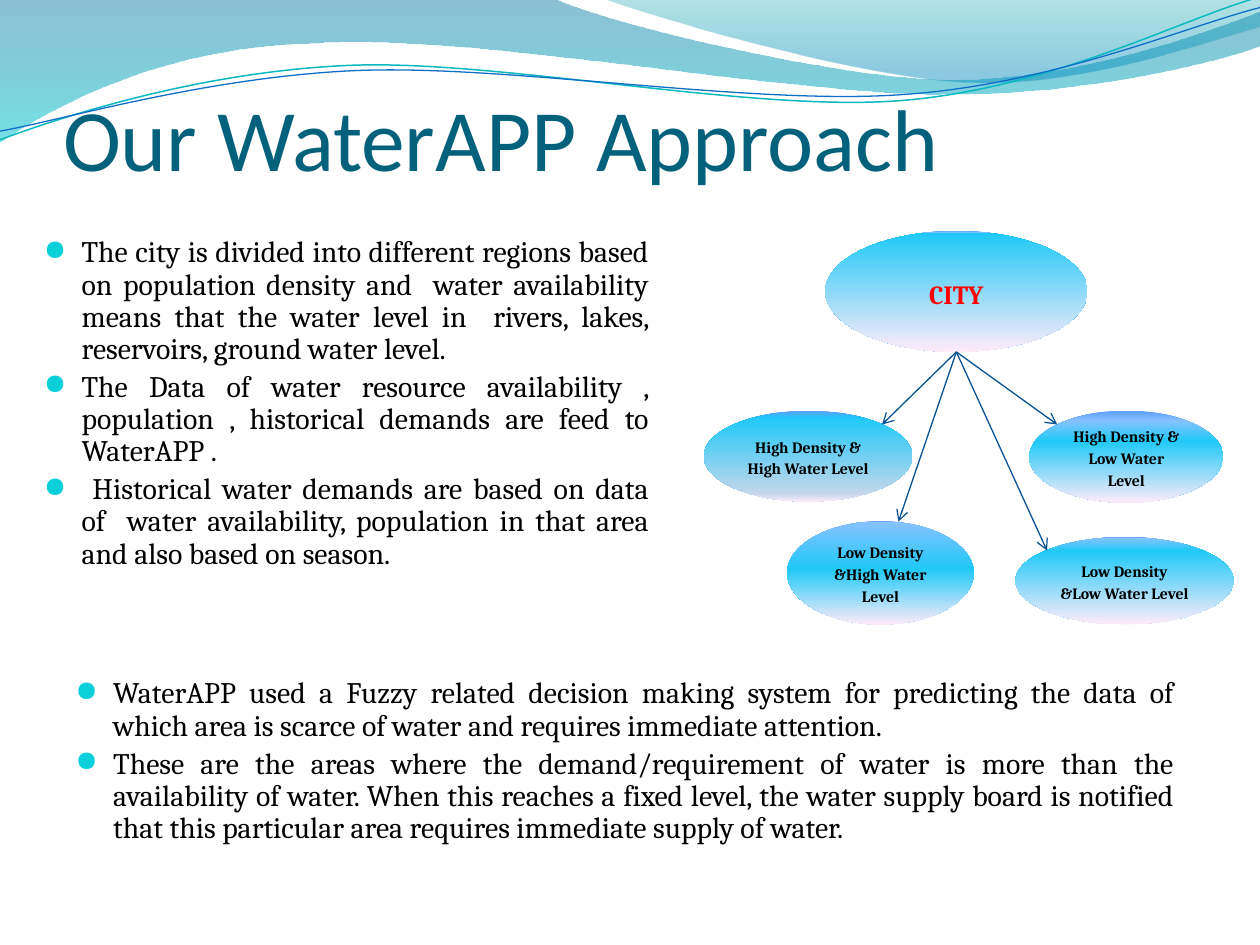
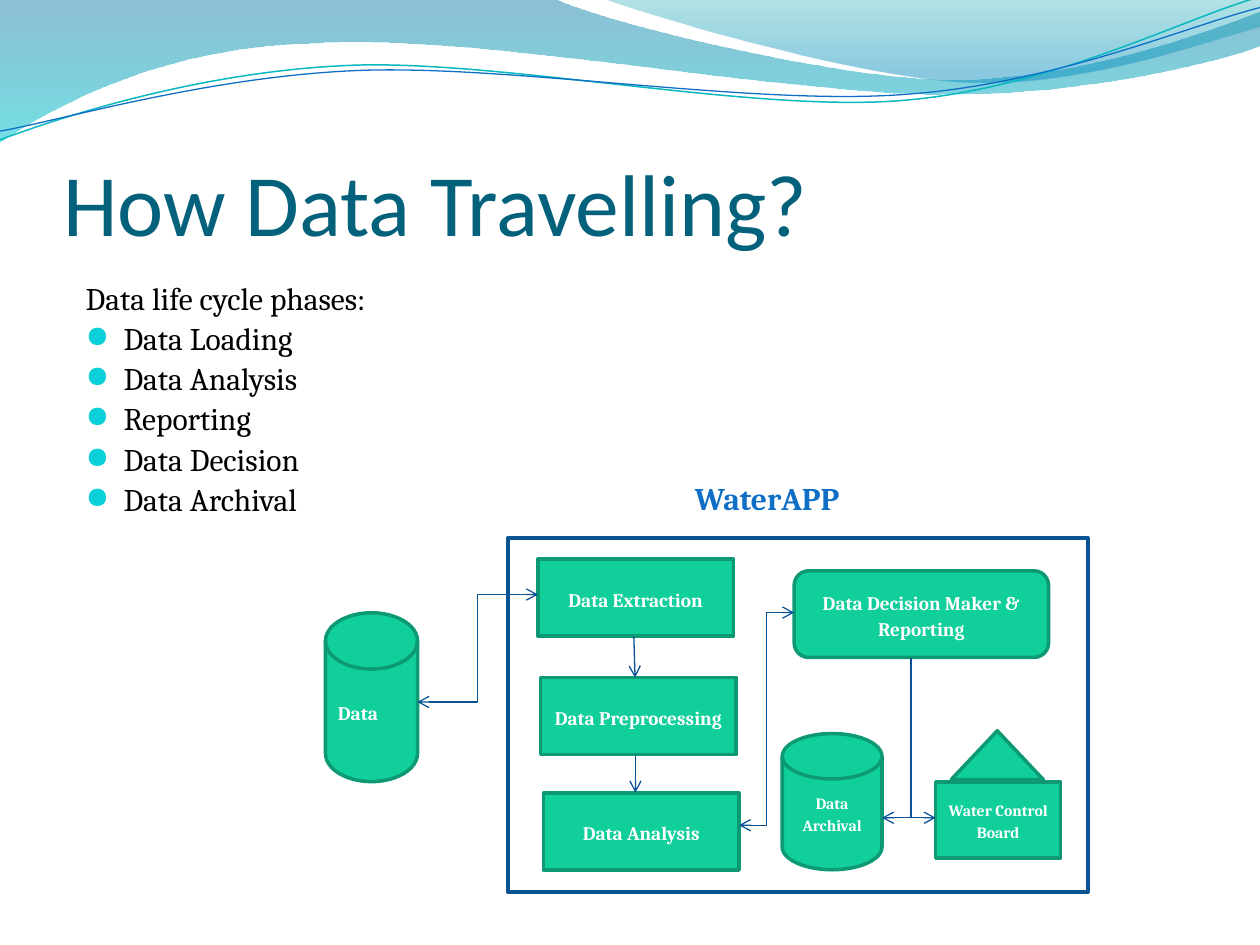
from dataclasses import dataclass
from typing import Any, NamedTuple, Optional

from lxml import etree
from pptx import Presentation
from pptx.dml.color import RGBColor
from pptx.enum.shapes import MSO_CONNECTOR, MSO_SHAPE
from pptx.enum.text import MSO_ANCHOR, MSO_AUTO_SIZE, PP_ALIGN
from pptx.oxml.ns import qn
from pptx.util import Pt

OVAL, RECT, ROUND = MSO_SHAPE.OVAL, MSO_SHAPE.RECTANGLE, MSO_SHAPE.ROUNDED_RECTANGLE
DISK, ROOF = MSO_SHAPE.FLOWCHART_MAGNETIC_DISK, MSO_SHAPE.ISOSCELES_TRIANGLE
STRAIGHT, ELBOW = MSO_CONNECTOR.STRAIGHT, MSO_CONNECTOR.ELBOW
MIDDLE, BOTTOM = MSO_ANCHOR.MIDDLE, MSO_ANCHOR.BOTTOM
LEFT, CENTER, JUSTIFY = PP_ALIGN.LEFT, PP_ALIGN.CENTER, PP_ALIGN.JUSTIFY
NO_FIT = MSO_AUTO_SIZE.NONE

COLORS = {
    "title": "04617B", "text": "000000", "white": "FFFFFF", "red": "FF0000",
    "bullet": "0BD0D9", "arrow": "095295", "frame": "0B5292", "label": "0F6FC6",
    "green": "10CF9B", "edge": "0C9973", "teal": "0AB8BF",
    "sea": "0074A1", "aqua": "00C6CF", "lagoon": "00A1A9", "lake": "008BBF",
    "blue": "5E9EFF", "sky": "85C2FF", "cyan": "20C9F8", "mist": "C4D6EB", "pink": "FFEBFA",
}
HEAD, BODY, SIGN = "Calibri", "Cambria", "OpenSymbol"
BLOCK = {"line_spacing": 1.15, "space_after": Pt(10)}


class Box(NamedTuple):
    """Left, top, width and height in points."""
    x: float
    y: float
    w: float
    h: float

    def emu(self) -> list[int]:
        """Return the four lengths as Pt."""
        return [Pt(v) for v in self]


class Stop(NamedTuple):
    """One gradient stop: position, colour name and opacity in percent."""
    pos: int
    color: str
    alpha: int = 100


@dataclass
class Wave:
    """A curved band or line: start point, then line or Bezier steps."""
    start: tuple
    steps: list
    stops: tuple = ()
    color: str = ""
    width: float = 0


@dataclass
class Node:
    """A filled shape with its caption."""
    kind: Any
    box: Box
    text: str = ""
    size: float = 9
    color: str = "white"
    align: Any = CENTER
    fill: Optional[str] = "green"
    edge: Optional[str] = "edge"
    stops: tuple = ()


@dataclass
class Link:
    """A connector between two points."""
    start: tuple
    end: tuple
    kind: Any = STRAIGHT
    head: bool = False
    tail: bool = True


WAVES = [
    Wave((0, 0), [
        (316.8, -0.7), (342.7, 12.2, 478.1, 45.4, 545.8, 45.4),
        (614.2, 45.4, 689.8, 18.7, 720, 6.5), (720.7, 25.9),
        (707.8, 31.7, 626.4, 54.7, 537.1, 54), (447.8, 54, 275, 20.2, 185, 24.5),
        (92.9, 25.9, 33.1, 59.8, -0.7, 81.4), (0, 0)],
        (Stop(0, "sea", 45), Stop(100, "aqua", 55))),
    Wave((344.9, -0.7), [
        (366.5, 7.9, 491, 44.6, 553.7, 46.8),
        (616.3, 49.7, 691.9, 23, 720, 15.1), (720, 0), (344.9, -0.7)],
        (Stop(0, "lagoon", 30), Stop(80, "lake", 45))),
    Wave((0, 79.9), [
        (34.6, 67, 113.8, 41, 199.4, 37.4), (284.4, 33.8, 427, 64.1, 513.4, 57.6),
        (599.8, 51.1, 675.4, 10.8, 718.6, -1.4)], color="teal", width=0.85),
    Wave((0, 74.9), [
        (33.8, 69.1, 118.1, 43.9, 203.8, 40.3), (290.2, 36.7, 429.8, 60.5, 516.2, 54),
        (601.9, 48.2, 677.5, 15.1, 720, 4.3)], color="label", width=0.75),
]


def rgb(name: str) -> RGBColor:
    """Return a named colour."""
    return RGBColor.from_string(COLORS[name])


def style(item: Any, values: dict) -> None:
    """Set each named attribute on the item."""
    for name, value in values.items():
        setattr(item, name, value)


def write(para: Any, text: str, size: float, color: str, font: str = BODY,
          bold: bool = False, **form: Any) -> None:
    """Fill one paragraph with a formatted run."""
    style(para, form)
    run = para.add_run()
    run.text = text
    style(run.font, {"size": Pt(size), "name": font, "bold": bold})
    run.font.color.rgb = rgb(color)


def grade(shape: Any, stops: tuple) -> None:
    """Give a shape a downward gradient."""
    shape.fill.gradient()
    shape.fill.gradient_angle = 270
    group = shape.element.spPr.find(qn("a:gradFill")).find(qn("a:gsLst"))
    for old in list(group):
        group.remove(old)
    for stop in stops:
        mark = etree.SubElement(group, qn("a:gs"), pos=str(stop.pos * 1000))
        tint = etree.SubElement(mark, qn("a:srgbClr"), val=COLORS[stop.color])
        if stop.alpha < 100:
            etree.SubElement(tint, qn("a:alpha"), val=str(stop.alpha * 1000))


def paint(shape: Any, fill: Optional[str], edge: Optional[str],
          width: float, stops: tuple = ()) -> None:
    """Set the fill and outline of a shape, without shadow."""
    shape.shadow.inherit = False
    if stops:
        grade(shape, stops)
    elif fill:
        shape.fill.solid()
        shape.fill.fore_color.rgb = rgb(fill)
    else:
        shape.fill.background()
    if edge:
        shape.line.color.rgb = rgb(edge)
        shape.line.width = Pt(width)
    else:
        shape.line.fill.background()


def bend(shape: Any, steps: list) -> None:
    """Join each three line points of a six-number step into a Bezier curve."""
    lines = iter(list(shape.element.iter(qn("a:lnTo"))))
    for step in steps:
        line = next(lines)
        if len(step) == 6:
            line.tag = qn("a:cubicBezTo")
            for extra in (next(lines), next(lines)):
                line.append(extra[0])
                extra.getparent().remove(extra)


def add_waves(slide: Any, layout: Any) -> None:
    """Draw the waves and move them to the layout, behind its placeholders."""
    tree = layout.placeholders[0].element.getparent()
    for spot, wave in enumerate(WAVES, 2):
        knots = [(Pt(step[i]), Pt(step[i + 1]))
                 for step in wave.steps for i in range(0, len(step), 2)]
        pen = slide.shapes.build_freeform(*(Pt(v) for v in wave.start))
        pen.add_line_segments(knots, close=bool(wave.stops))
        shape = pen.convert_to_shape()
        bend(shape, wave.steps)
        paint(shape, None, wave.color, wave.width, wave.stops)
        tree.insert(spot, shape.element)


def add_title(slide: Any, text: str, box: Box) -> None:
    """Place and format the title."""
    title = slide.shapes.title
    style(title, dict(zip(("left", "top", "width", "height"), box.emu())))
    frame = title.text_frame
    style(frame, {"margin_left": 0, "margin_top": Pt(3.6), "margin_right": 0,
                  "margin_bottom": 0, "vertical_anchor": BOTTOM,
                  "auto_size": NO_FIT, "word_wrap": True})
    write(frame.paragraphs[0], text, 50, "title", HEAD, alignment=LEFT)


def add_node(slide: Any, node: Node) -> None:
    """Draw a shape and its caption."""
    shape = slide.shapes.add_shape(node.kind, *node.box.emu())
    paint(shape, node.fill, node.edge, 2, node.stops)
    if node.text:
        frame = shape.text_frame
        style(frame, {"word_wrap": True, "vertical_anchor": MIDDLE})
        write(frame.paragraphs[0], node.text, node.size, node.color, bold=True,
              alignment=node.align, **BLOCK)


def add_link(slide: Any, link: Link) -> None:
    """Draw a connector with open arrowheads."""
    ends = [Pt(v) for v in link.start + link.end]
    line = slide.shapes.add_connector(link.kind, *ends)
    line.line.color.rgb = rgb("arrow")
    line.line.width = Pt(0.75)
    props = line.element.spPr
    for tag, shown in (("a:headEnd", link.head), ("a:tailEnd", link.tail)):
        if shown:
            etree.SubElement(props.find(qn("a:ln")), qn(tag), type="arrow")
    etree.SubElement(props, qn("a:effectLst"))


def add_bullet(para: Any) -> None:
    """Give a paragraph a hanging round bullet."""
    props = para._p.get_or_add_pPr()
    props.set("marL", str(Pt(21.6)))
    props.set("indent", str(-Pt(21.6)))
    tint = etree.SubElement(props, qn("a:buClr"))
    etree.SubElement(tint, qn("a:srgbClr"), val=COLORS["bullet"])
    etree.SubElement(props, qn("a:buSzPct"), val="95000")
    etree.SubElement(props, qn("a:buFont"), typeface=SIGN)
    etree.SubElement(props, qn("a:buChar"), char="●")


def add_list(slide: Any, box: Box, size: float, items: list[str], lead: str = "") -> None:
    """Write a bulleted list, with an optional plain first line."""
    frame = slide.shapes.add_textbox(*box.emu()).text_frame
    frame.word_wrap = True
    para = frame.paragraphs[0]
    if lead:
        write(para, lead, size, "text", alignment=JUSTIFY)
    for i, item in enumerate(items):
        if i or lead:
            para = frame.add_paragraph()
        write(para, item, size, "text", alignment=JUSTIFY,
              line_spacing=0.9, space_before=Pt(size * 0.2))
        add_bullet(para)


def add_label(slide: Any, text: str, box: Box) -> None:
    """Write the heading above the frame."""
    frame = slide.shapes.add_textbox(*box.emu()).text_frame
    frame.word_wrap = False
    write(frame.paragraphs[0], text, 18, "label", bold=True)


def region(box: Box, text: str, sky: int, cyan: int, **look: Any) -> Node:
    """Return an oval shaded from blue to pink."""
    stops = (Stop(0, "blue"), Stop(sky, "sky"), Stop(cyan, "cyan"), Stop(100, "pink"))
    look = {"color": "text", "edge": None, "stops": stops} | look
    return Node(OVAL, box, text, **look)


def build_plan(slide: Any) -> None:
    """Build the slide on the approach."""
    add_title(slide, "Our WaterAPP Approach", Box(36, 36, 648, 72))
    city = Box(471.6, 132, 149.8, 69.1)
    haze = (Stop(0, "blue"), Stop(8, "cyan"), Stop(92, "mist"), Stop(100, "pink"))
    for node in (
        region(city, "CITY", 1, 2, size=15, color="red"),
        region(Box(402.1, 234.8, 119.3, 51.8), "High Density & High Water Level", 0, 8, stops=haze),
        region(Box(588.2, 234.7, 110.9, 52.6), "High Density & Low Water Level", 11, 33),
        region(Box(449.8, 297.9, 106.6, 59), "Low Density &High Water Level", 1, 46),
        region(Box(580.3, 306.9, 124.6, 49.9), "Low Density &Low Water Level", 1, 16),
    ):
        add_node(slide, node)
    root = (city.x + city.w / 2, city.y + city.h)
    for end in ((504, 242.6), (513.4, 298.1), (598.3, 314.6), (604.1, 242.6)):
        add_link(slide, Link(root, end))
    add_list(slide, Box(18, 132, 360, 200.9), 17, [
        "The city is divided into different regions based on population density and  water "
        "availability means that the water level in  rivers, lakes, reservoirs, ground water level. ",
        "The Data of water resource availability , population , historical demands are feed "
        "to WaterAPP .",
        " Historical water demands are based on data of  water availability, population in "
        "that area and also based on season."])
    add_list(slide, Box(36, 384, 642.2, 104.4), 17, [
        "WaterAPP used a Fuzzy related decision making system for predicting the data of "
        "which area is scarce of water and requires immediate attention. ",
        "These are the areas where the demand/requirement of water is more than the "
        "availability of water. When this reaches a fixed level, the water supply board is "
        "notified that this particular area requires immediate supply of water."])


def build_flow(slide: Any) -> None:
    """Build the slide on the data flow."""
    add_title(slide, "How Data Travelling?", Box(36, 55.4, 648, 90))
    add_node(slide, Node(DISK, Box(186, 350.2, 52.6, 96.5), "Data", 11, align=LEFT))
    for x, y, name in ((307.4, 319.5, "Extraction"), (308.9, 387.2, "Preprocessing"),
                       (310.6, 453.1, "Analysis")):
        add_node(slide, Node(RECT, Box(x, y, 111.8, 44.1), f"Data {name}", 11))
    for node in (
        Node(RECT, Box(290.2, 307.4, 331.4, 202.5), fill=None, edge="frame"),
        Node(ROUND, Box(453.8, 326.2, 145.4, 49.5), "Data Decision Maker & Reporting", 11),
        Node(DISK, Box(447, 419.2, 57, 77.8), "Data Archival"),
        Node(RECT, Box(534.7, 446.9, 71.3, 43.4), "Water Control Board"),
        Node(ROOF, Box(543.6, 417.6, 52.6, 27.9)),
    ):
        add_node(slide, node)
    for link in (
        Link((362.2, 363.6), (362.9, 387.2)),
        Link((363.1, 431.3), (363.1, 452.9)),
        Link((238.5, 401.2), (307.4, 339.8), ELBOW, head=True),
        Link((422.3, 471.6), (453.8, 350.1), ELBOW, head=True),
        Link((504, 467.3), (534.7, 467.3), head=True),
        Link((520.6, 375.8), (520.6, 467.3), tail=False),
    ):
        add_link(slide, link)
    phases = ["Data Loading", "Data Analysis", "Reporting", "Data Decision", "Data Archival"]
    add_list(slide, Box(41.9, 155.9, 221.8, 149), 18, phases, "Data life cycle phases:")
    add_label(slide, "WaterAPP", Box(390, 270, 100, 28.8))


def main() -> None:
    """Build and save the slides."""
    deck = Presentation()
    style(deck, {"slide_width": Pt(720), "slide_height": Pt(540)})
    layout = deck.slide_layouts.get_by_name("Title Only")
    plan, flow = [deck.slides.add_slide(layout) for _ in range(2)]
    add_waves(plan, layout)
    build_plan(plan)
    build_flow(flow)
    deck.save("out.pptx")


if __name__ == "__main__":
    main()
